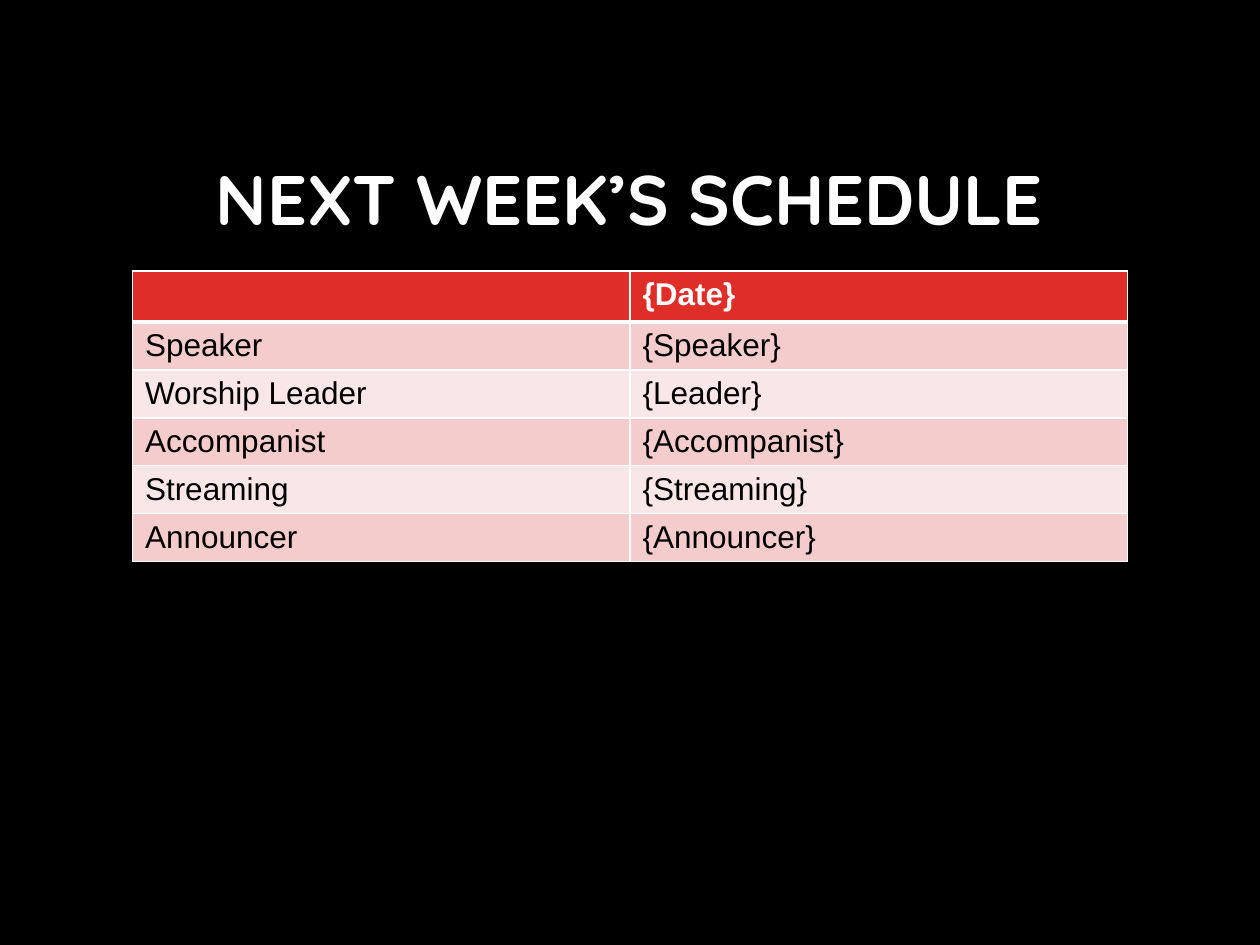
from dataclasses import dataclass

from lxml import etree
from pptx import Presentation
from pptx.dml.color import RGBColor
from pptx.enum import text
from pptx.oxml import ns
from pptx.util import Cm, Pt


@dataclass(frozen=True)
class Theme:
    """Colours, fonts and type sizes of the slide."""
    background: str = "000000"
    light: str = "FFFFFF"
    dark: str = "000000"
    header: str = "DF2E28"
    bands: tuple = ("F3CCCB", "F9E7E7")
    title_font: str = "Quicksand"
    body_font: str = "Arial"
    title_size: int = 40
    body_size: int = 18
    rule: int = 1
    header_rule: int = 3


THEME = Theme()
SCHEDULE = [
    ("", "{Date}"),
    ("Speaker", "{Speaker}"),
    ("Worship Leader", "{Leader}"),
    ("Accompanist", "{Accompanist}"),
    ("Streaming", "{Streaming}"),
    ("Announcer", "{Announcer}"),
]


def apply_format(target, values):
    """Set each attribute of target from a dict."""
    for attribute, value in values.items():
        setattr(target, attribute, value)


def style_font(font, name, size, color, bold):
    """Give a font its face, size, colour and weight."""
    apply_format(font, {"name": name, "size": Pt(size), "bold": bold})
    font.color.rgb = RGBColor.from_string(color)


def add_border(cell, side, width):
    """Draw one side of a cell as a solid light line."""
    line = etree.SubElement(cell._tc.get_or_add_tcPr(), ns.qn(f"a:ln{side}"), w=str(Pt(width)))
    fill = etree.SubElement(line, ns.qn("a:solidFill"))
    etree.SubElement(fill, ns.qn("a:srgbClr"), val=THEME.light)


def place_title(slide, heading, left, top, width, height):
    """Place the heading in the title placeholder."""
    title = slide.shapes.title
    apply_format(title, {"left": left, "top": top, "width": width, "height": height})
    frame = title.text_frame
    frame.text = heading
    apply_format(frame, {
        "word_wrap": True,
        "auto_size": text.MSO_AUTO_SIZE.NONE,
        "vertical_anchor": text.MSO_ANCHOR.MIDDLE,
    })
    paragraph = frame.paragraphs[0]
    apply_format(paragraph, {"alignment": text.PP_ALIGN.CENTER, "line_spacing": 0.9})
    style_font(paragraph.runs[0].font, THEME.title_font, THEME.title_size, THEME.light, True)


def fill_cell(cell, entry, row):
    """Write one schedule entry with the style of its row."""
    is_header = row == 0
    widths = {
        "L": THEME.rule,
        "R": THEME.rule,
        "T": THEME.header_rule if row == 1 else THEME.rule,
        "B": THEME.header_rule if is_header else THEME.rule,
    }
    for side, width in widths.items():
        add_border(cell, side, width)
    cell.fill.solid()
    band = THEME.header if is_header else THEME.bands[(row - 1) % 2]
    cell.fill.fore_color.rgb = RGBColor.from_string(band)
    cell.text = entry
    color = THEME.light if is_header else THEME.dark
    for run in cell.text_frame.paragraphs[0].runs:
        style_font(run.font, THEME.body_font, THEME.body_size, color, is_header)


def place_schedule(slide, entries, left, top, width, height):
    """Place the schedule table with equal rows and columns."""
    schedule = slide.shapes.add_table(
        len(entries), len(entries[0]), left, top, width, height).table
    for row, line in enumerate(entries):
        for column, entry in enumerate(line):
            fill_cell(schedule.cell(row, column), entry, row)


def main():
    """Build and save the schedule slide."""
    deck = Presentation()
    apply_format(deck, {"slide_width": Cm(25.4), "slide_height": Cm(19.05)})
    slide = deck.slides.add_slide(deck.slide_layouts.get_by_name("Title Only"))
    slide.background.fill.solid()
    slide.background.fill.fore_color.rgb = RGBColor.from_string(THEME.background)
    place_title(slide, "NEXT WEEK’S SCHEDULE", Cm(3.84), Cm(2.29), Cm(17.7), Cm(3.58))
    place_schedule(slide, SCHEDULE, Cm(2.67), Cm(5.46), Cm(20.06), Cm(5.8))
    deck.save("out.pptx")


if __name__ == "__main__":
    main()
